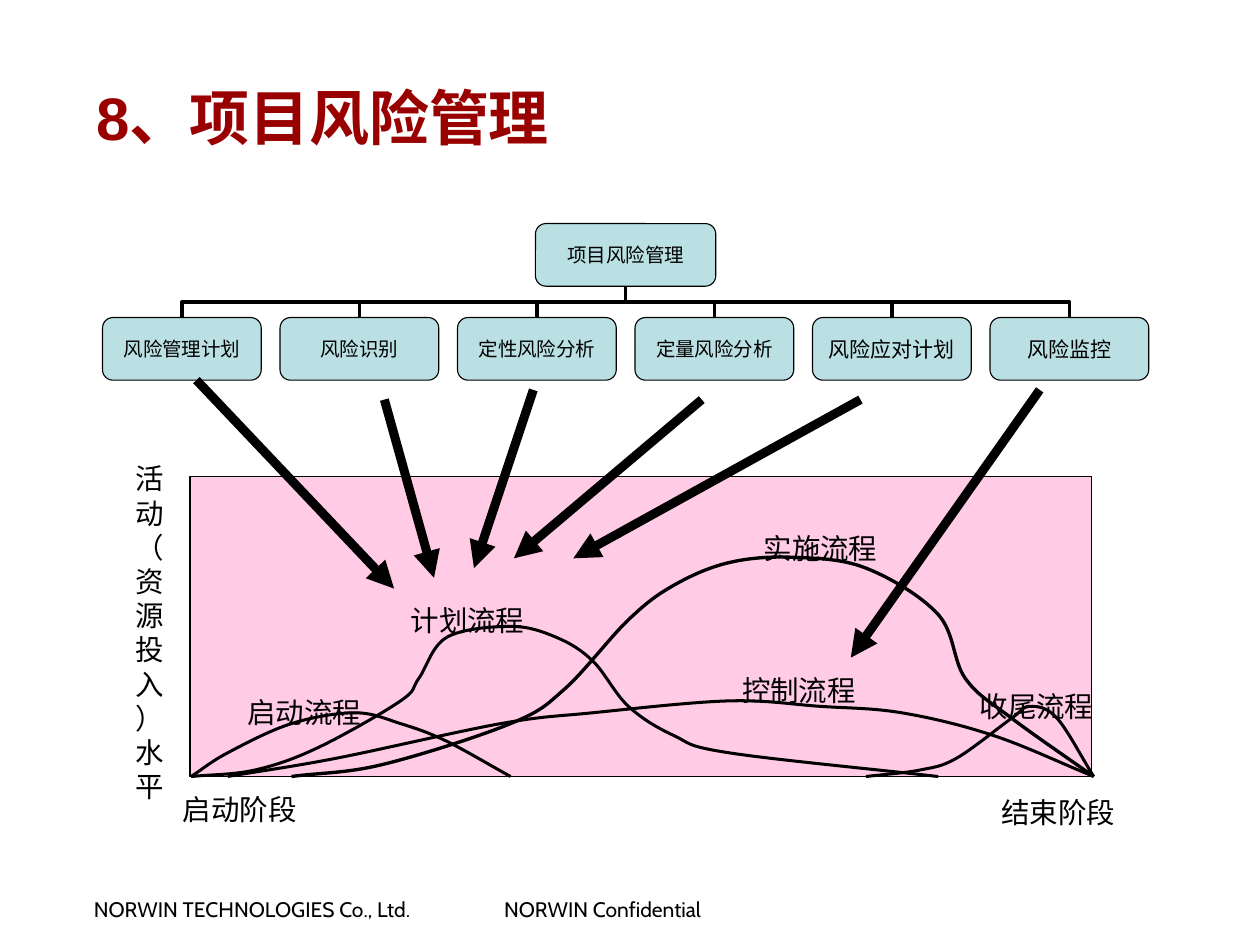
from pptx import Presentation
from pptx.dml.color import RGBColor
from pptx.enum.shapes import MSO_CONNECTOR, MSO_SHAPE
from pptx.enum.text import MSO_ANCHOR, PP_ALIGN
from pptx.oxml.ns import qn
from pptx.oxml.xmlchemy import OxmlElement
from pptx.util import Inches, Pt

ELBOW, STRAIGHT = MSO_CONNECTOR.ELBOW, MSO_CONNECTOR.STRAIGHT
RECTANGLE, ROUNDED = MSO_SHAPE.RECTANGLE, MSO_SHAPE.ROUNDED_RECTANGLE
LEFT, CENTER = PP_ALIGN.LEFT, PP_ALIGN.CENTER
TOP, MIDDLE = MSO_ANCHOR.TOP, MSO_ANCHOR.MIDDLE
BLACK, TEAL, PINK, RED = "000000", "BBE0E3", "FF99CC", "990000"


def write_text(box, text, size, font, color=BLACK, align=CENTER, anchor=MIDDLE, wrap=False):
    frame = box.text_frame
    frame.word_wrap = wrap
    frame.vertical_anchor = anchor
    para = frame.paragraphs[0]
    para.alignment = align
    span = para.add_run()
    span.text = text
    span.font.size = Pt(size)
    span.font.name = font
    span.font.color.rgb = RGBColor.from_string(color)
    return span


def set_line(shape, width):
    """Give a shape or connector a black line and no shadow."""
    shape.line.color.rgb = RGBColor.from_string(BLACK)
    shape.line.width = Pt(width)
    properties = shape.element.spPr
    if properties.find(qn("a:effectLst")) is None:
        properties.append(OxmlElement("a:effectLst"))


deck = Presentation()
deck.slide_width, deck.slide_height = Inches(11.67), Inches(8.75)
page = deck.slides.add_slide(deck.slide_layouts[5])
shapes = page.shapes

title = shapes.title
title.left, title.top, title.width, title.height = map(Inches, (0.79, 0.35, 10.29, 1.46))
write_text(title, "8、项目风险管理", 40, "Arial", RED, LEFT, wrap=True).font.bold = True

for left, width, text in [(0.77, 3.38, "NORWIN TECHNOLOGIES Co., Ltd."),
                          (4.57, 2.27, "NORWIN Confidential")]:
    footer = shapes.add_textbox(Inches(left), Inches(8.25), Inches(width), Inches(0.33))
    write_text(footer, text, 14, "Cabin", align=LEFT, anchor=TOP)

# Process tree: the root first, then its six children
steps = [("风险管理计划", 13), ("风险识别", 13), ("定性风险分析", 13),
         ("定量风险分析", 13), ("风险应对计划", 14), ("风险监控", 14)]
step_left, step_pitch = Inches(0.95), Inches(8.22) // 5
nodes = [(Inches(4.96), 2.07, 1.67, "项目风险管理", 13)]
nodes += [(step_left + i * step_pitch, 2.94, 1.47, text, size)
          for i, (text, size) in enumerate(steps)]
boxes = []
for left, top, width, text, size in nodes:
    box = shapes.add_shape(ROUNDED, left, Inches(top), Inches(width), Inches(0.58))
    box.fill.solid()
    box.fill.fore_color.rgb = RGBColor.from_string(TEAL)
    set_line(box, 0.75)
    frame = box.text_frame
    frame.margin_left = frame.margin_right = Inches(0.05)
    frame.margin_top = frame.margin_bottom = Inches(0.02)
    write_text(box, text, size, "Arial")
    boxes.append(box)

root, *children = boxes
root_x, root_bottom = root.left + root.width // 2, root.top + root.height
for child in children:
    child_x = child.left + child.width // 2
    branch = shapes.add_connector(ELBOW, child_x, child.top, root_x, root_bottom)
    branch.begin_connect(child, 0)
    branch.end_connect(root, 2)
    # A quarter turn makes the elbow leave the boxes vertically
    rise, run = child.top - root_bottom, abs(child_x - root_x)
    branch.left = (child_x + root_x - rise) // 2
    branch.top = (child.top + root_bottom - run) // 2
    branch.width, branch.height = rise, run
    on_right = child_x > root_x
    transform = branch.element.spPr.find(qn("a:xfrm"))
    transform.set("rot", "16200000" if on_right else "5400000")
    transform.set("flipH", "0" if on_right else "1")
    transform.set("flipV", "1")
    set_line(branch, 2.25)

# Activity chart
panel = shapes.add_shape(RECTANGLE, Inches(1.76), Inches(4.41), Inches(8.35), Inches(2.78))
panel.fill.solid()
panel.fill.fore_color.rgb = RGBColor.from_string(PINK)
alpha = OxmlElement("a:alpha")
alpha.set("val", "50000")
panel.element.spPr.find(".//" + qn("a:srgbClr")).append(alpha)
set_line(panel, 0.75)

# Each curve: line width, start and end on the baseline, points between
BASELINE = 7.19
curves = [
    (2, 1.77, 4.73, [(2.11, 6.97), (2.7, 6.7), (3.29, 6.6), (3.71, 6.7), (4.13, 6.86)]),
    (2, 1.77, 8.69, [(2.36, 7.13), (2.95, 6.92), (3.71, 6.49), (3.88, 6.28), (4.14, 5.9),
                     (4.73, 5.8), (5.15, 5.9), (5.49, 6.12), (5.82, 6.54), (6.24, 6.81),
                     (6.75, 6.97)]),
    (2.25, 2.7, 10.13, [(3.54, 7.08), (4.73, 6.7), (5.23, 6.38), (5.82, 5.74), (6.24, 5.42),
                        (6.75, 5.21), (7.34, 5.16), (8.02, 5.26), (8.69, 5.69), (8.94, 6.28),
                        (9.37, 6.65)]),
    (2, 2.11, 10.13, [(3.12, 7.02), (4.64, 6.7), (5.49, 6.6), (6.75, 6.49), (7.59, 6.54),
                      (8.35, 6.6), (9.2, 6.81)]),
    (2, 8.02, 10.13, [(8.52, 7.13), (8.86, 7.02), (9.37, 6.65), (9.54, 6.54), (9.79, 6.65)]),
]
for width, start_x, end_x, middle in curves:
    knots = [(start_x, BASELINE), *middle, (end_x, BASELINE)]
    # Mirrored neighbours beyond both ends set the end tangents
    before = [2 * a - b for a, b in zip(knots[0], knots[1])]
    after = [2 * a - b for a, b in zip(knots[-1], knots[-2])]
    knots = [before, *knots, after]
    points = []
    for p, q, r, s in zip(knots, knots[1:], knots[2:], knots[3:]):
        points.append([b + (c - a) / 6 for a, b, c in zip(p, q, r)])
        points.append([c - (d - b) / 6 for b, c, d in zip(q, r, s)])
        points.append(r)
    builder = shapes.build_freeform(Inches(start_x), Inches(BASELINE))
    builder.add_line_segments([(Inches(x), Inches(y)) for x, y in points], close=False)
    curve = builder.convert_to_shape()
    curve.fill.background()
    set_line(curve, width)
    # Every three points become one Bézier segment
    segments = curve.element.findall(".//" + qn("a:lnTo"))
    for i in range(0, len(segments), 3):
        bezier = OxmlElement("a:cubicBezTo")
        segments[i].addprevious(bezier)
        for segment in segments[i:i + 3]:
            bezier.append(segment[0])
            segment.getparent().remove(segment)

# Labels by centre and top
labels = [(2.22, 7.27, "启动阶段"), (2.82, 6.38, "启动流程"), (4.33, 5.52, "计划流程"),
          (7.6, 4.86, "实施流程"), (7.4, 6.17, "控制流程"), (9.6, 6.32, "收尾流程"),
          (9.8, 7.3, "结束阶段")]
for center, top, text in labels:
    label = shapes.add_textbox(Inches(center - 0.65), Inches(top), Inches(1.3), Inches(0.43))
    frame = label.text_frame
    frame.margin_top = frame.margin_bottom = Inches(0.06)
    write_text(label, text, 19, "DejaVu Sans", anchor=TOP)

axis_label = shapes.add_textbox(Inches(1.12), Inches(4.21), Inches(0.54), Inches(3.29))
write_text(axis_label, "活动（资源投入）水平", 19, "DejaVu Sans", wrap=True)

# Arrows from the processes to the curves
for ends in [(1.82, 3.52, 3.65, 5.45), (3.56, 3.7, 4.02, 5.35), (4.94, 3.61, 4.39, 5.26),
             (6.5, 3.7, 4.76, 5.17), (7.97, 3.7, 5.31, 5.17), (9.63, 3.61, 7.88, 6.09)]:
    arrow = shapes.add_connector(STRAIGHT, *map(Inches, ends))
    set_line(arrow, 6)
    head = OxmlElement("a:tailEnd")
    head.set("type", "triangle")
    arrow.element.spPr.find(qn("a:ln")).append(head)

deck.save("out.pptx")
